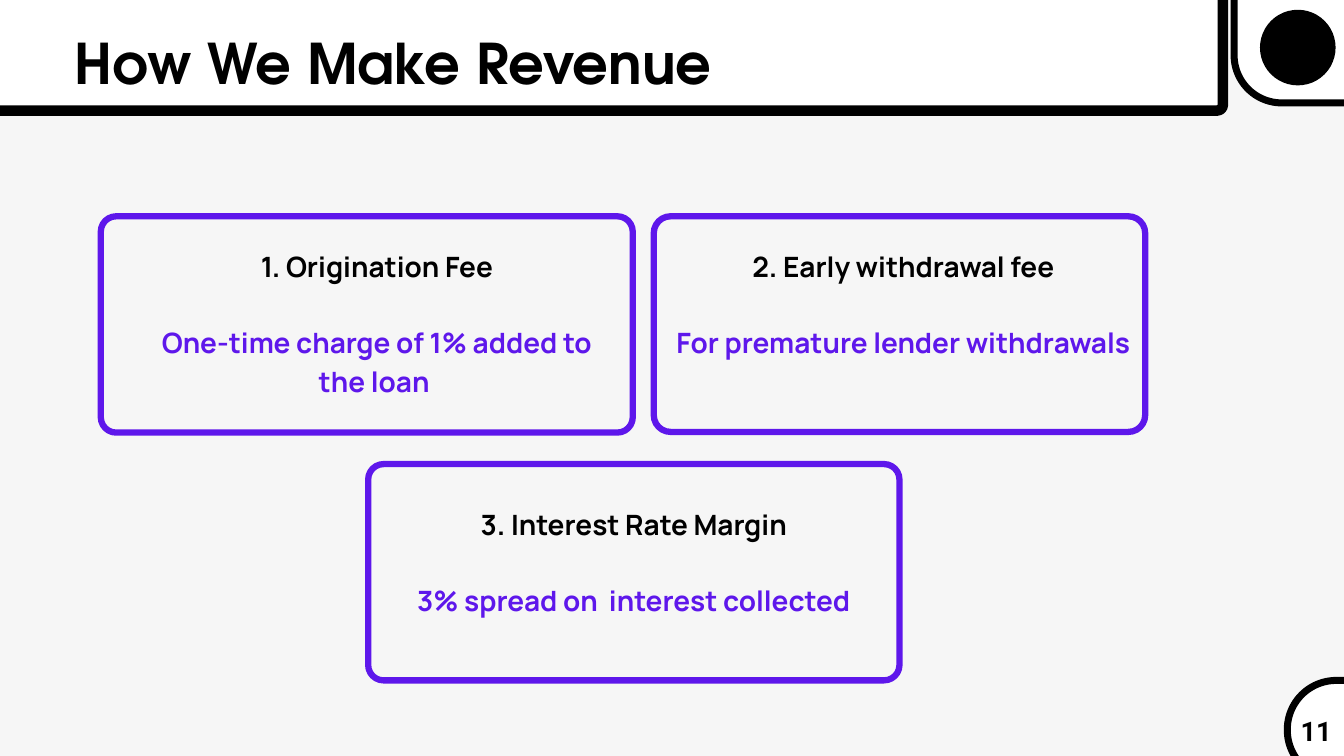
from dataclasses import dataclass

from pptx import Presentation
from pptx.dml.color import RGBColor
from pptx.enum.shapes import MSO_SHAPE as Shape
from pptx.enum.text import MSO_ANCHOR as Anchor, MSO_AUTO_SIZE as AutoSize, PP_ALIGN as Align
from pptx.util import Emu, Pt

PX = 9525  # EMU in one px, 96 px to the inch
BLACK, WHITE, PURPLE, GREY = "000000", "FFFFFF", "5E17EB", "F6F6F6"
BLANK_GAP = 39.2


@dataclass(frozen=True)
class Box:
    x: int
    y: int
    w: int
    h: int

    def emu(self) -> list[Emu]:
        return [Emu(v * PX) for v in (self.x, self.y, self.w, self.h)]


@dataclass(frozen=True)
class Frame:
    box: Box
    radius: int
    line: str
    weight: float
    fill: str | None = None


@dataclass(frozen=True)
class Line:
    text: str
    font: str
    size: float
    leading: float
    color: str = BLACK
    align: Align = Align.LEFT
    before: float = 0


@dataclass(frozen=True)
class Card:
    box: Box
    radius: int
    text_box: Box
    heading: str
    detail: str


HEADER = Frame(Box(-281, -189, 2028, 347), 8, BLACK, 11.25, WHITE)
LOGO_TAB = Frame(Box(1763, -156, 237, 303), 68, BLACK, 7.5, WHITE)
PAGE_TAB = Frame(Box(1839, 972, 215, 141), 70, BLACK, 7.5, WHITE)
LOGO = Box(1800, 14, 108, 108)

CARDS = [
    Card(Box(144, 309, 760, 309), 22, Box(204, 349, 669, 220),
         "1. Origination Fee", "One-time charge of 1% added to the loan "),
    Card(Box(934, 309, 702, 308), 24, Box(960, 349, 661, 220),
         "2. Early withdrawal fee", "For premature lender withdrawals"),
    Card(Box(526, 663, 759, 309), 22, Box(571, 717, 669, 164),
         "3. Interest Rate Margin", "3% spread on  interest collected"),
]


def rgb(color: str) -> RGBColor:
    return RGBColor.from_string(color)


def set_all(obj, values: dict) -> None:
    for name, value in values.items():
        setattr(obj, name, value)


def add_frame(s, frame: Frame) -> None:
    sp = s.shapes.add_shape(Shape.ROUNDED_RECTANGLE, *frame.box.emu())
    sp.shadow.inherit = False
    sp.adjustments[0] = frame.radius / min(frame.box.w, frame.box.h)
    if frame.fill:
        sp.fill.solid()
        sp.fill.fore_color.rgb = rgb(frame.fill)
    else:
        sp.fill.background()
    sp.line.color.rgb = rgb(frame.line)
    sp.line.width = Pt(frame.weight)


def add_logo_disc(s, box: Box) -> None:
    sp = s.shapes.add_shape(Shape.OVAL, *box.emu())
    sp.shadow.inherit = False
    sp.fill.solid()
    sp.fill.fore_color.rgb = rgb(BLACK)
    sp.line.fill.background()


def write(sp, lines: list[Line]) -> None:
    tf = sp.text_frame
    set_all(tf, dict(word_wrap=True, auto_size=AutoSize.NONE, vertical_anchor=Anchor.TOP,
                     margin_left=0, margin_top=0, margin_right=0, margin_bottom=0))
    for i, line in enumerate(lines):
        p = tf.add_paragraph() if i else tf.paragraphs[0]
        set_all(p, dict(alignment=line.align, line_spacing=Pt(line.leading),
                        space_before=Pt(line.before)))
        r = p.add_run()
        r.text = line.text
        set_all(r.font, dict(name=line.font, size=Pt(line.size), bold=True))
        r.font.color.rgb = rgb(line.color)


def add_text(s, box: Box, lines: list[Line]) -> None:
    write(s.shapes.add_textbox(*box.emu()), lines)


def add_title(s, box: Box, line: Line) -> None:
    """Fill the title placeholder and lift it above the header panel."""
    sp = s.shapes.title
    set_all(sp, dict(zip(("left", "top", "width", "height"), box.emu())))
    write(sp, [line])
    s.shapes._spTree.append(sp._element)


def add_card(s, card: Card) -> None:
    add_frame(s, Frame(card.box, card.radius, PURPLE, 6.75))
    add_text(s, card.text_box, [
        Line(card.heading, "Manrope", 30, 42, align=Align.CENTER),
        Line(card.detail, "Manrope", 30, 42, PURPLE, Align.CENTER, BLANK_GAP),
    ])


def main() -> None:
    prs = Presentation()
    set_all(prs, dict(slide_width=Emu(1920 * PX), slide_height=Emu(1080 * PX)))
    s = prs.slides.add_slide(prs.slide_layouts[5])
    s.background.fill.solid()
    s.background.fill.fore_color.rgb = rgb(GREY)

    for frame in (LOGO_TAB, HEADER, PAGE_TAB):
        add_frame(s, frame)
    add_logo_disc(s, LOGO)
    add_title(s, Box(106, 24, 1350, 107),
              Line("How We Make Revenue", "TeX Gyre Adventor", 60, 84))
    for card in CARDS:
        add_card(s, card)
    add_text(s, Box(1858, 1013, 48, 53), [Line("11", "Roboto", 29, 40.6)])

    prs.save("out.pptx")


if __name__ == "__main__":
    main()
